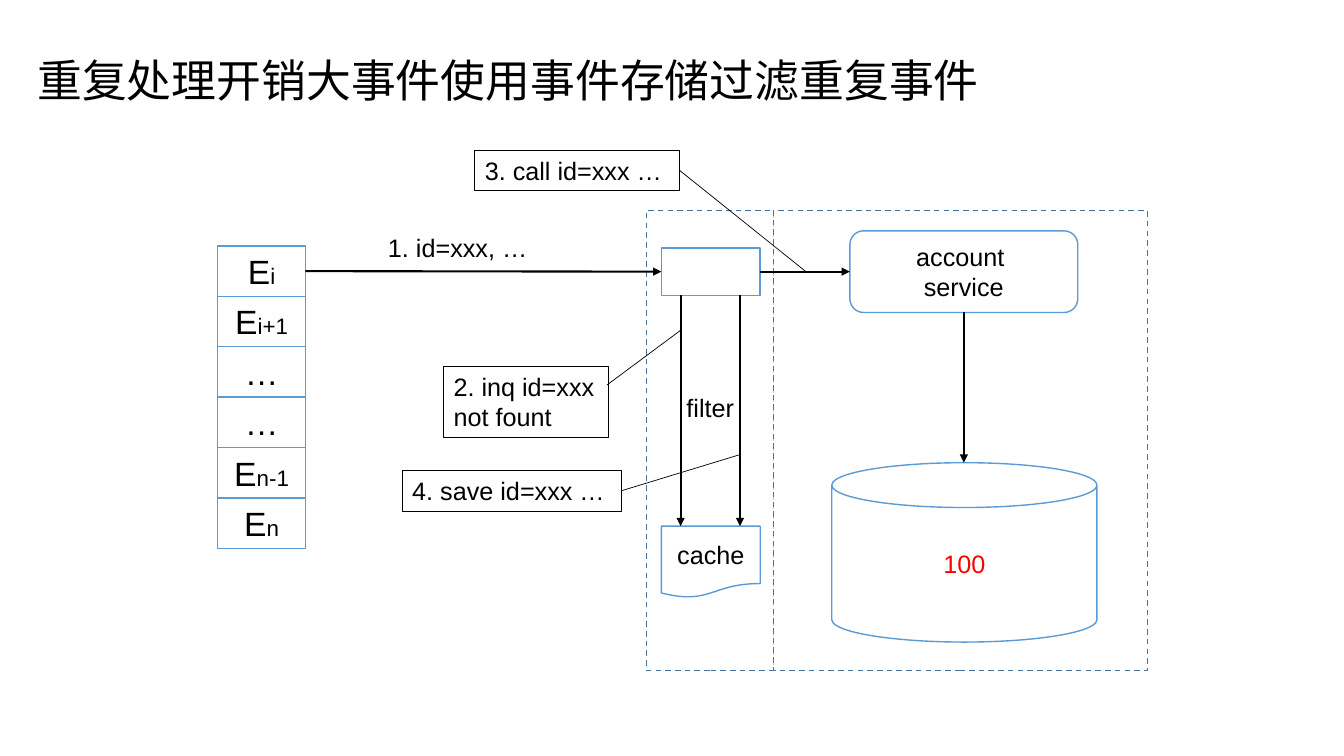
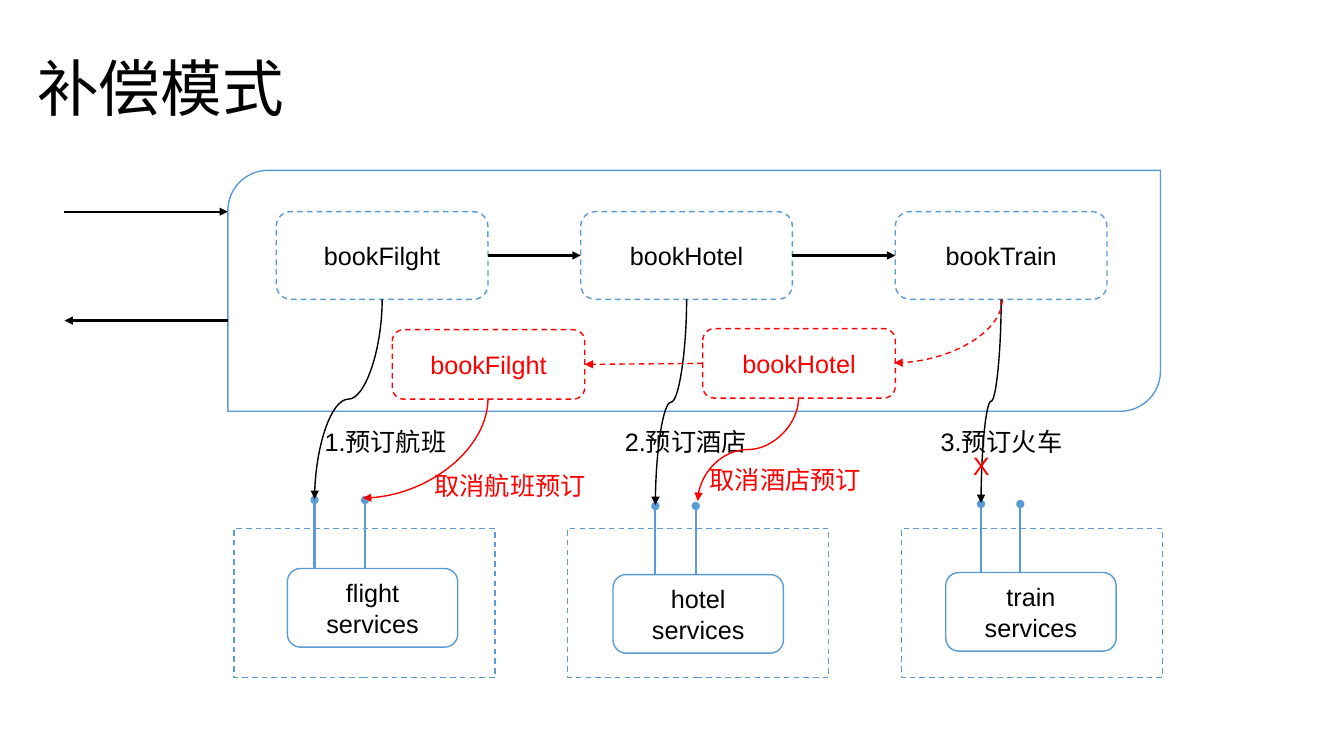
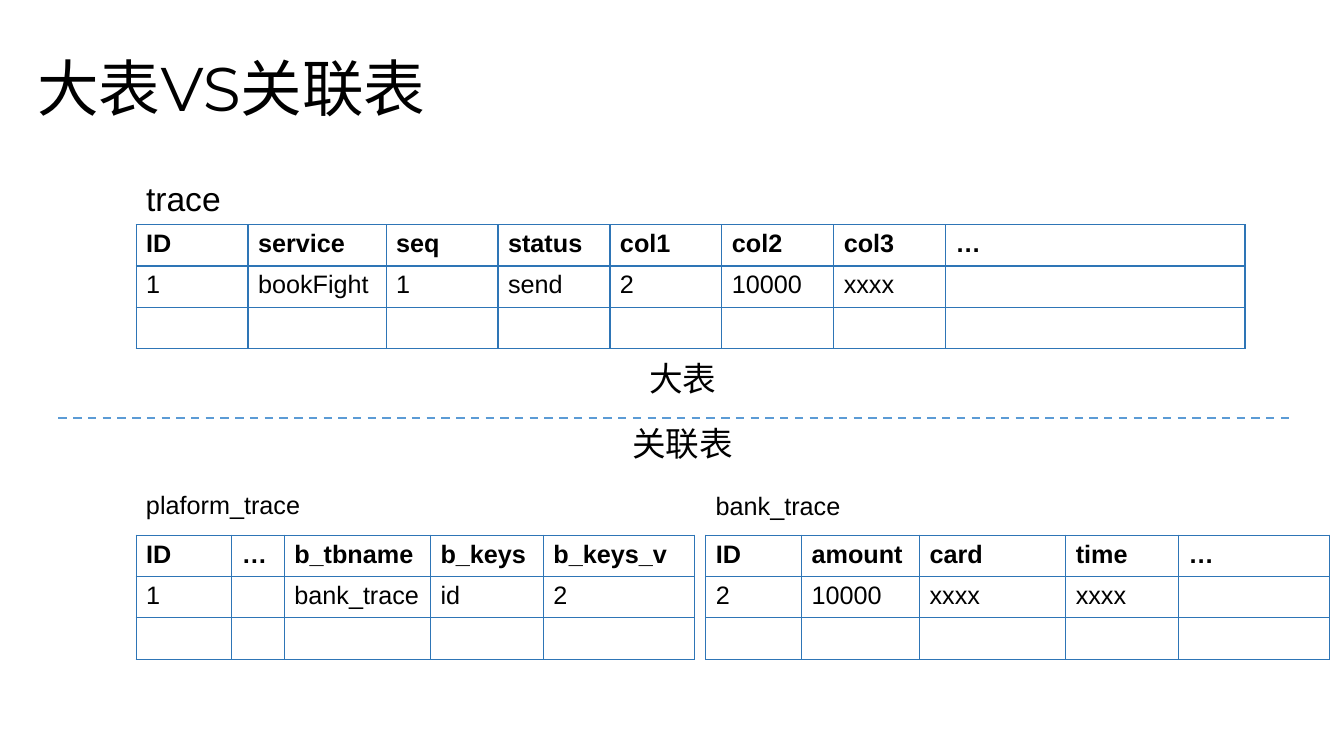
from dataclasses import dataclass
from typing import NamedTuple

import lxml.etree
import pptx
import pptx.dml.color
import pptx.enum.dml
import pptx.enum.shapes
import pptx.enum.text
import pptx.oxml.ns
import pptx.util

# Shared look: 100 px to the inch
PX = 9144
BODY_FONT, TITLE_FONT = "Arial", "Montserrat"
WHITE, BLACK, RED = "FFFFFF", "000000", "FF0000"
BLUE, NAVY, GRID = "5B9BD5", "43739E", "2E75B6"

SHAPE = pptx.enum.shapes.MSO_SHAPE
ALIGN = pptx.enum.text.PP_ALIGN
ANCHOR = pptx.enum.text.MSO_ANCHOR
FIT = pptx.enum.text.MSO_AUTO_SIZE
DASH = pptx.enum.dml.MSO_LINE.DASH


class Span(NamedTuple):
    text: str
    size: int = 18
    color: str = BLACK


Lines = list[list[Span]]


@dataclass
class Box:
    left: int
    top: int
    width: int
    height: int
    lines: Lines
    kind: SHAPE = SHAPE.RECTANGLE
    outline: str = BLUE
    dashed: bool = False


@dataclass
class Note:
    left: int
    top: int
    width: int
    lines: Lines
    height: int = 40
    border: float = 0
    wrap: bool = False


@dataclass
class Link:
    start: tuple[int, int]
    end: tuple[int, int]
    color: str = BLACK
    weight: float = 1.5
    tail: str = "triangle"
    dashed: bool = False


@dataclass
class Grid:
    left: int
    top: int
    widths: list[int]
    rows: list[list[str]]


class Booking(NamedTuple):
    step: str
    step_left: int
    service: str
    service_left: int
    service_top: int
    stubs: tuple[int, int]
    note: str
    note_left: int


# Helpers
def px(length: int) -> int:
    return pptx.util.Emu(length * PX)


def rgb(color: str) -> pptx.dml.color.RGBColor:
    return pptx.dml.color.RGBColor.from_string(color)


def words(*texts: str, size: int = 18, color: str = BLACK) -> Lines:
    return [[Span(text, size, color)] for text in texts]


def add_xml(parent, tag: str, **attributes: str):
    return lxml.etree.SubElement(parent, pptx.oxml.ns.qn(tag), attributes)


def write(frame, lines: Lines, align=ALIGN.LEFT, font: str = BODY_FONT) -> None:
    for index, line in enumerate(lines):
        para = frame.add_paragraph() if index else frame.paragraphs[0]
        para.alignment = align
        for span in line:
            run = para.add_run()
            run.text = span.text
            run.font.name = font
            run.font.size = pptx.util.Pt(span.size)
            run.font.color.rgb = rgb(span.color)


def set_line(line, color: str, weight: float, dashed: bool = False) -> None:
    line.color.rgb = rgb(color)
    line.width = pptx.util.Pt(weight)
    if dashed:
        line.dash_style = DASH


def add_page(deck, title: str, size: int, width: int):
    page = deck.slides.add_slide(deck.slide_layouts[5])
    holder = page.shapes.title
    holder.left, holder.top, holder.width, holder.height = map(px, (27, 53, width, 76))
    frame = holder.text_frame
    frame.auto_size = FIT.NONE
    frame.vertical_anchor = ANCHOR.TOP
    write(frame, words(title, size=size), font=TITLE_FONT)
    frame.paragraphs[0].line_spacing = 0.9
    return page


def draw_box(page, box: Box):
    shape = page.shapes.add_shape(
        box.kind, px(box.left), px(box.top), px(box.width), px(box.height))
    shape.shadow.inherit = False
    shape.fill.solid()
    shape.fill.fore_color.rgb = rgb(WHITE)
    set_line(shape.line, box.outline, 1, box.dashed)
    shape.text_frame.vertical_anchor = ANCHOR.MIDDLE
    write(shape.text_frame, box.lines, ALIGN.CENTER)
    return shape


def draw_note(page, note: Note):
    shape = page.shapes.add_textbox(
        px(note.left), px(note.top), px(note.width), px(note.height))
    shape.text_frame.word_wrap = note.wrap
    shape.text_frame.auto_size = FIT.SHAPE_TO_FIT_TEXT
    if note.border:
        set_line(shape.line, BLACK, note.border)
    write(shape.text_frame, note.lines)
    return shape


def add_line(page, link: Link):
    line = page.shapes.add_connector(
        pptx.enum.shapes.MSO_CONNECTOR.STRAIGHT, *map(px, link.start + link.end))
    set_line(line.line, link.color, link.weight, link.dashed)
    if link.tail:
        add_xml(line.get_or_add_ln(), "a:tailEnd", type=link.tail)
    add_xml(line.element.spPr, "a:effectLst")
    return line


def draw_link(page, link: Link, source=None, source_side: int = 3,
              target=None, target_side: int = 1) -> None:
    line = add_line(page, link)
    if source is not None:
        line.begin_connect(source, source_side)
    if target is not None:
        line.end_connect(target, target_side)


def draw_curve(page, link: Link, preset: str = "curvedConnector3") -> None:
    """Curve that leaves downwards and ends lower on the left."""
    line = add_line(page, link)
    (x1, y1), (x2, y2) = link.start, link.end
    run, drop = x1 - x2, y2 - y1
    properties = line.element.spPr
    properties.find(pptx.oxml.ns.qn("a:prstGeom")).set("prst", preset)
    frame = properties.find(pptx.oxml.ns.qn("a:xfrm"))
    frame.attrib.clear()
    frame.set("rot", "5400000")
    line.left = pptx.util.Emu((x1 + x2 - drop) * PX // 2)
    line.top = pptx.util.Emu((y1 + y2 - run) * PX // 2)
    line.width, line.height = px(drop), px(run)


def draw_grid(page, grid: Grid) -> None:
    row_height = 41
    table = page.shapes.add_table(
        len(grid.rows), len(grid.widths), px(grid.left), px(grid.top),
        px(sum(grid.widths)), px(row_height * len(grid.rows))).table
    table.horz_banding = False
    for column, width in zip(table.columns, grid.widths):
        column.width = px(width)
    for row_index, texts in enumerate(grid.rows):
        table.rows[row_index].height = px(row_height)
        for column_index, text in enumerate(texts):
            cell = table.cell(row_index, column_index)
            properties = cell._tc.get_or_add_tcPr()
            for side in "LRTB":
                edge = add_xml(properties, f"a:ln{side}", w="12700")
                add_xml(add_xml(edge, "a:solidFill"), "a:srgbClr", val=GRID)
            cell.fill.solid()
            cell.fill.fore_color.rgb = rgb(WHITE)
            if text:
                write(cell.text_frame, words(text))
                cell.text_frame.paragraphs[0].runs[0].font.bold = row_index == 0


# Slide 1: event store filter
def build_filter(deck) -> None:
    page = add_page(deck, "重复处理开销大事件使用事件存储过滤重复事件", 32, 1048)
    for left, width in ((641, 126), (767, 371)):
        draw_box(page, Box(left, 209, width, 456, [], outline=NAVY, dashed=True))

    # Event queue
    queue = []
    for index, (name, mark) in enumerate(
            [("E", "i"), ("E", "i+1"), ("…", ""), ("…", ""), ("E", "n-1"), ("E", "n")]):
        spans = [Span(name, 24)] + ([Span(mark, 16)] if mark else [])
        queue.append(draw_box(page, Box(216, 244 + 50 * index, 87, 50, [spans])))

    # Filter, cache, service and store
    entry = draw_box(page, Box(656, 246, 98, 47, []))
    draw_box(page, Box(656, 522, 98, 71, words("cache"), SHAPE.FLOWCHART_DOCUMENT))
    service = draw_box(page, Box(843, 229, 226, 81, words("account ", "service"),
                                 SHAPE.ROUNDED_RECTANGLE))
    draw_box(page, Box(825, 459, 263, 178, words("100", color=RED), SHAPE.CAN))
    draw_link(page, Link((956, 310), (956, 459)), service, 2)
    for x in (675, 734):
        draw_link(page, Link((x, 293), (x, 522)))
    draw_link(page, Link((303, 269), (656, 269)), queue[0], target=entry)
    draw_link(page, Link((754, 269), (843, 269)), entry, target=service)

    # Labels and callouts
    draw_note(page, Note(671, 384, 68, words("filter")))
    draw_note(page, Note(375, 226, 160, words("1. id=xxx, …")))
    draw_note(page, Note(440, 363, 163, words("2. inq id=xxx", "not fount"), 71, 0.5))
    save = draw_note(page, Note(399, 467, 217, words("4. save id=xxx …"), border=0.5))
    call = draw_note(page, Note(471, 149, 203, words("3. call id=xxx …"), border=0.75))
    for start, end, source in (((602, 382), (676, 327), None),
                               ((616, 487), (734, 451), save),
                               ((674, 169), (800, 270), call)):
        draw_link(page, Link(start, end, weight=0.5, tail=""), source)


# Slide 2: compensation
BOOKINGS = [
    Booking("bookFilght", 274, "flight", 285, 564, (312, 362), "1.预订航班", 312),
    Booking("bookHotel", 576, "hotel", 608, 570, (650, 690), "2.预订酒店", 610),
    Booking("bookTrain", 888, "train", 938, 568, (973, 1012), "3.预订火车", 923),
]


def build_compensation(deck) -> None:
    page = add_page(deck, "补偿模式", 44, 607)
    draw_box(page, Box(226, 169, 925, 239, [], SHAPE.ROUND_2_DIAG_RECTANGLE))
    draw_link(page, Link((63, 210), (226, 210)))
    draw_link(page, Link((226, 318), (64, 318)))

    # Steps, each calling its service
    steps = []
    for index, booking in enumerate(BOOKINGS):
        steps.append(draw_box(page, Box(booking.step_left, 210, 210, 87,
                                        words(booking.step),
                                        SHAPE.ROUNDED_RECTANGLE, dashed=True)))
        draw_note(page, Note(booking.note_left, 418, 142, words(booking.note)))
        draw_box(page, Box(232 + 331 * index, 524, 259, 148, [], dashed=True))
        draw_box(page, Box(booking.service_left, booking.service_top, 169, 78,
                           words(booking.service, "services"), SHAPE.ROUNDED_RECTANGLE))
        stub_top = booking.service_top - 68
        for x in booking.stubs:
            draw_link(page, Link((x, booking.service_top), (x, stub_top), BLUE, tail="oval"))
        draw_curve(page, Link((booking.step_left + 105, 297),
                              (booking.stubs[0], stub_top - 1), weight=1))
    for index in range(len(steps) - 1):
        left, right = BOOKINGS[index].step_left + 210, BOOKINGS[index + 1].step_left
        draw_link(page, Link((left, 254), (right, 254)), steps[index],
                  target=steps[index + 1])

    # Cancellations
    undo_flight, undo_hotel = [
        draw_box(page, Box(left, top, 191, 69, words(name, color=RED),
                           SHAPE.ROUNDED_RECTANGLE, RED, True))
        for left, top, name in ((389, 327, "bookFilght"), (697, 326, "bookHotel"))]
    draw_link(page, Link((697, 360), (580, 361), RED, 1, dashed=True),
              undo_hotel, 1, undo_flight, 3)
    draw_curve(page, Link((994, 297), (887, 360), RED, 1, dashed=True), "curvedConnector2")
    draw_curve(page, Link((792, 395), (692, 497), RED, 1))
    draw_curve(page, Link((484, 395), (360, 494), RED, 1), "curvedConnector2")
    for left, top, width, text, wrap in ((955, 442, 37, "X", True),
                                         (694, 456, 172, "取消酒店预订", False),
                                         (421, 462, 171, "取消航班预订", True)):
        draw_note(page, Note(left, top, width, words(text, color=RED), wrap=wrap))


# Slide 3: one wide table or linked tables
GRIDS = [
    Grid(135, 223, [111, 137, 111, 111, 111, 111, 111, 297],
         [["ID", "service", "seq", "status", "col1", "col2", "col3", "…"],
          ["1", "bookFight", "1", "send", "2", "10000", "xxxx", ""],
          [""] * 8]),
    Grid(135, 531, [95, 52, 145, 112, 150],
         [["ID", "…", "b_tbname", "b_keys", "b_keys_v"],
          ["1", "", "bank_trace", "id", "2"],
          [""] * 5]),
    Grid(700, 531, [95, 117, 145, 112, 150],
         [["ID", "amount", "card", "time", "…"],
          ["2", "10000", "xxxx", "xxxx", ""],
          [""] * 5]),
]


def build_tables(deck) -> None:
    page = add_page(deck, "大表VS关联表", 44, 607)
    for grid in GRIDS:
        draw_grid(page, grid)
    for left, top, width, text in ((135, 172, 95, "trace"), (634, 350, 88, "大表"),
                                   (617, 415, 121, "关联表")):
        draw_note(page, Note(left, top, width, words(text, size=24), 50))
    for left, top, width, text in ((135, 481, 174, "plaform_trace"),
                                   (700, 482, 150, "bank_trace")):
        draw_note(page, Note(left, top, width, words(text)))
    draw_link(page, Link((58, 415), (1283, 415), BLUE, tail="", dashed=True))


def main() -> None:
    deck = pptx.Presentation()
    deck.slide_width, deck.slide_height = px(1333), px(750)
    build_filter(deck)
    build_compensation(deck)
    build_tables(deck)
    deck.save("out.pptx")


if __name__ == "__main__":
    main()
